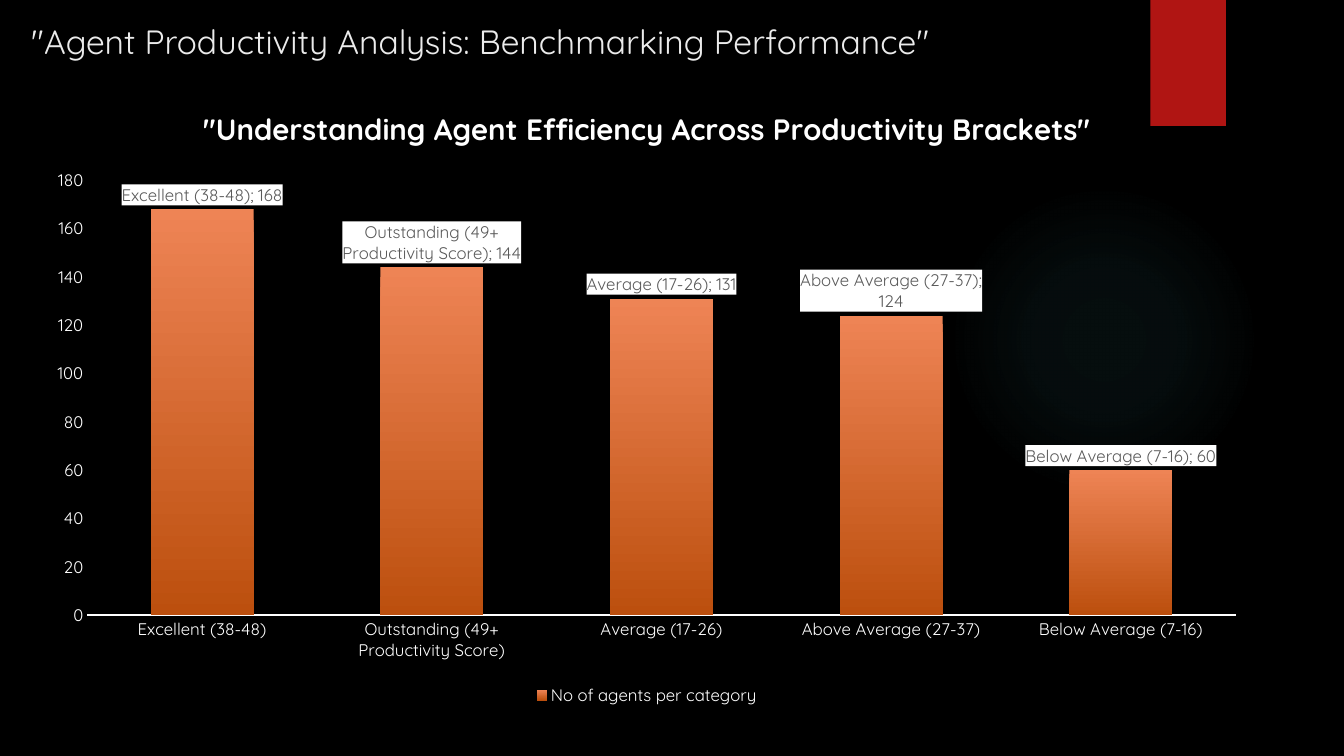
"""Build the agent productivity slide with its column chart."""
from lxml.etree import fromstring
from pptx import Presentation
from pptx.chart.data import CategoryChartData
from pptx.dml.color import RGBColor
from pptx.enum.chart import XL_CHART_TYPE, XL_LABEL_POSITION, XL_LEGEND_POSITION, XL_TICK_MARK
from pptx.enum.shapes import MSO_SHAPE
from pptx.enum.text import MSO_ANCHOR, MSO_AUTO_SIZE, PP_ALIGN
from pptx.util import Inches, Pt

TITLE = '"Agent Productivity Analysis: Benchmarking Performance"'
CHART_TITLE = '"Understanding Agent Efficiency Across Productivity Brackets"'
SERIES_NAME = "No of agents per category"
AGENTS = {
    "Excellent (38-48)": 168,
    "Outstanding (49+ Productivity Score)": 144,
    "Average (17-26)": 131,
    "Above Average (27-37)": 124,
    "Below Average (7-16)": 60,
}
FONT = "Quicksand"
COLORS = {
    "background": "000000", "text": "FFFFFF", "title": "EBEBEB", "ribbon": "B01513",
    "glow": "50B9C1", "bar_top": "EE8455", "bar_foot": "BC4F0E", "label": "595959",
}
GLOW_STOPS = [(0, 7), (36, 6), (69, 0)]
SLIDE_SIZE = (13.33, 7.5)
BOXES = {
    "glow": (9.41, 1.83, 3.08, 3.08),
    "ribbon": (11.41, 0, 0.75, 1.25),
    "title": (0.21, 0.12, 10.29, 0.57),
    "chart": (0.33, 0.84, 12.17, 6.2),
}
PLOT_SHARES = {"x": 0.044, "y": 0.153, "w": 0.936, "h": 0.696}
DRAWING = "http://schemas.openxmlformats.org/drawingml/2006/main"
CHART = "http://schemas.openxmlformats.org/drawingml/2006/chart"


def color(name):
    return RGBColor.from_string(COLORS[name])


def box(name):
    return [Inches(length) for length in BOXES[name]]


def style(font, size, name="text", bold=False):
    font.name, font.size, font.bold = FONT, Pt(size), bold
    font.color.rgb = color(name)


def add_plain_shape(slide, kind, name):
    shape = slide.shapes.add_shape(kind, *box(name))
    shape.shadow.inherit = False
    shape.line.fill.background()
    shape.fill.solid()
    shape.fill.fore_color.rgb = color(name)
    return shape


def add_glow(slide):
    shape = add_plain_shape(slide, MSO_SHAPE.OVAL, "glow")
    stops = "".join(
        f'<a:gs pos="{position * 1000}"><a:srgbClr val="{COLORS["glow"]}">'
        f'<a:alpha val="{alpha * 1000}"/></a:srgbClr></a:gs>'
        for position, alpha in GLOW_STOPS)
    gradient = fromstring(
        f'<a:gradFill xmlns:a="{DRAWING}"><a:gsLst>{stops}</a:gsLst><a:path path="circle">'
        '<a:fillToRect l="50000" t="50000" r="50000" b="50000"/></a:path></a:gradFill>')
    properties = shape.element.spPr
    properties.replace(properties.find(f"{{{DRAWING}}}solidFill"), gradient)


def add_title(slide):
    title = slide.shapes.title
    title.left, title.top, title.width, title.height = box("title")
    frame = title.text_frame
    frame.text = TITLE
    frame.auto_size = MSO_AUTO_SIZE.NONE
    frame.vertical_anchor = MSO_ANCHOR.MIDDLE
    frame.paragraphs[0].alignment = PP_ALIGN.LEFT
    style(frame.paragraphs[0].runs[0].font, 24, "title")


def place_plot(chart):
    plot_area = chart.element.find(f".//{{{CHART}}}plotArea")
    for layout in plot_area.findall(f"{{{CHART}}}layout"):
        plot_area.remove(layout)
    modes = "".join(f'<c:{side}Mode val="edge"/>' for side in "xy")
    shares = "".join(f'<c:{key} val="{share}"/>' for key, share in PLOT_SHARES.items())
    plot_area.insert(0, fromstring(
        f'<c:layout xmlns:c="{CHART}"><c:manualLayout><c:layoutTarget val="inner"/>'
        f'{modes}{shares}</c:manualLayout></c:layout>'))


def style_labels(series):
    labels = series.data_labels
    labels.show_value = labels.show_category_name = True
    labels.position = XL_LABEL_POSITION.OUTSIDE_END
    style(labels.font, 12, "label")
    text_properties = series.format.element.find(f".//{{{CHART}}}dLbls/{{{CHART}}}txPr") \
        if hasattr(series.format, "element") else labels._element.find(f"{{{CHART}}}txPr")
    text_properties.addprevious(fromstring(
        f'<c:spPr xmlns:c="{CHART}" xmlns:a="{DRAWING}"><a:solidFill>'
        f'<a:srgbClr val="{COLORS["text"]}"/></a:solidFill></c:spPr>'))


def add_chart(slide):
    data = CategoryChartData()
    data.categories = list(AGENTS)
    data.add_series(SERIES_NAME, list(AGENTS.values()))
    chart = slide.shapes.add_chart(XL_CHART_TYPE.COLUMN_CLUSTERED, *box("chart"), data).chart
    style(chart.font, 10)
    chart.has_title = True
    chart.chart_title.text_frame.text = CHART_TITLE
    style(chart.chart_title.text_frame.paragraphs[0].runs[0].font, 21, bold=True)
    chart.has_legend = True
    chart.legend.position = XL_LEGEND_POSITION.BOTTOM
    chart.legend.include_in_layout = False
    style(chart.legend.font, 12)
    for axis in (chart.category_axis, chart.value_axis):
        axis.major_tick_mark = axis.minor_tick_mark = XL_TICK_MARK.NONE
        axis.has_major_gridlines = False
        style(axis.tick_labels.font, 12)
    chart.category_axis.format.line.color.rgb = color("text")
    chart.category_axis.format.line.width = Pt(1)
    chart.value_axis.format.line.fill.background()
    chart.value_axis.minimum_scale, chart.value_axis.maximum_scale = 0, 180
    chart.value_axis.major_unit = 20
    plot = chart.plots[0]
    plot.vary_by_categories = False
    plot.gap_width, plot.overlap = 123, -33
    series = plot.series[0]
    fill = series.format.fill
    fill.gradient()
    fill.gradient_angle = 270
    for stop, position, name in zip(fill.gradient_stops, (0, 1), ("bar_top", "bar_foot")):
        stop.position = position
        stop.color.rgb = color(name)
    style_labels(series)
    place_plot(chart)


def main():
    presentation = Presentation()
    presentation.slide_width, presentation.slide_height = map(Inches, SLIDE_SIZE)
    slide = presentation.slides.add_slide(presentation.slide_layouts[5])
    slide.background.fill.solid()
    slide.background.fill.fore_color.rgb = color("background")
    add_glow(slide)
    add_plain_shape(slide, MSO_SHAPE.RECTANGLE, "ribbon")
    add_title(slide)
    add_chart(slide)
    presentation.save("out.pptx")


if __name__ == "__main__":
    main()
